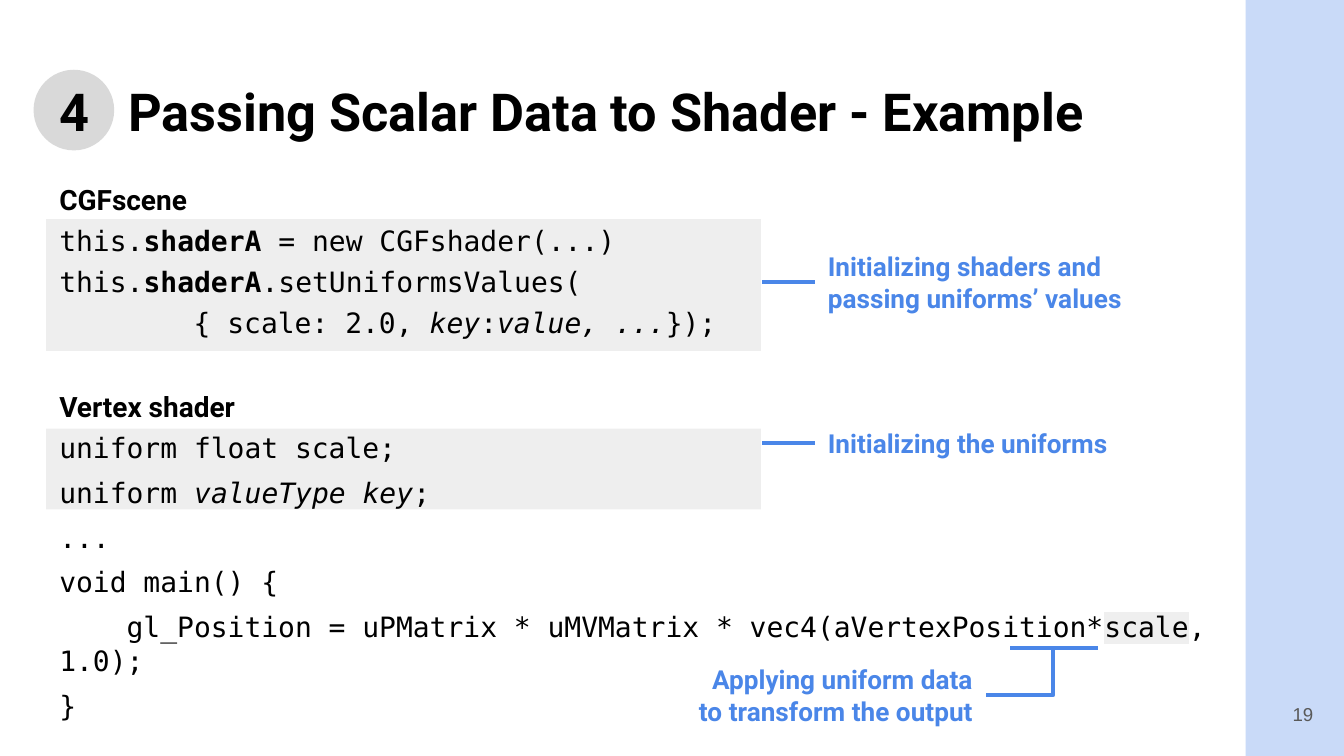
from collections import namedtuple
from dataclasses import dataclass

from lxml import etree
from pptx import Presentation
from pptx import util as u
from pptx.dml.color import RGBColor
from pptx.enum import shapes, text
from pptx.oxml import ns

Pt = u.Pt
Box = namedtuple("Box", "left top width height")
Span = namedtuple("Span", "words style", defaults=({},))


@dataclass(frozen=True)
class Theme:
    """Colours, fonts and type sizes of the deck."""
    ink: str = "000000"
    accent: str = "4A86E8"
    stripe: str = "C9DAF8"
    badge: str = "D9D9D9"
    panel: str = "EEEEEE"
    mark: str = "EFEFEF"
    muted: str = "595959"
    sans: str = "Roboto"
    mono: str = "DejaVu Sans Mono"
    number_font: str = "Arial"
    title: float = 28
    body: float = 15
    note: float = 14
    small: float = 10
    stroke: float = 2.25


THEME = Theme()
HEAD = dict(font=THEME.sans, bold=True)
BOLD = dict(bold=True)
ITALIC = dict(italic=True)

CODE = [
    (0, [Span("CGFscene", HEAD)]),
    (4, [Span("this."), Span("shaderA", BOLD), Span(" = new CGFshader(...)")]),
    (4, [Span("this."), Span("shaderA", BOLD), Span(".setUniformsValues(")]),
    (4, [Span("\t{ scale: 2.0, "), Span("key", ITALIC), Span(":"),
         Span("value, ...", ITALIC), Span("});")]),
    (26.8, [Span("Vertex shader", HEAD)]),
    (4, [Span("uniform float scale;")]),
    (6, [Span("uniform "), Span("valueType key", ITALIC), Span(";")]),
    (6, [Span("...")]),
    (6, [Span("void main() {")]),
    (6, [Span("    gl_Position = uPMatrix * uMVMatrix * vec4(aVertexPosition*"),
         Span("scale", dict(highlight=THEME.mark)), Span(", 1.0);")]),
    (6, [Span("}")]),
]


def add_span(para, words, size=THEME.body, font=THEME.mono, color=THEME.ink,
             bold=False, italic=False, highlight=None):
    """Append formatted text to a paragraph."""
    span = para.add_run()
    span.text = words
    span.font.size = Pt(size)
    span.font.bold = bold
    span.font.italic = italic
    span.font.color.rgb = RGBColor.from_string(color)
    span.font.name = font
    if highlight:
        fill = span.font._element.find(ns.qn("a:solidFill"))
        mark = etree.Element(ns.qn("a:highlight"))
        etree.SubElement(mark, ns.qn("a:srgbClr"), val=highlight)
        fill.addnext(mark)


def add_frame(page, box, anchor=text.MSO_ANCHOR.TOP):
    """Add an empty wrapping text box and return its frame."""
    frame = page.shapes.add_textbox(*map(Pt, box)).text_frame
    frame.word_wrap = True
    frame.vertical_anchor = anchor
    frame.margin_left = frame.margin_right = Pt(7.2)
    frame.margin_top = frame.margin_bottom = Pt(7.2)
    return frame


def set_tab(para, position):
    """Give a paragraph one left tab stop."""
    stops = etree.SubElement(para._p.get_or_add_pPr(), ns.qn("a:tabLst"))
    etree.SubElement(stops, ns.qn("a:tab"), pos=str(Pt(position)), algn="l")


def add_block(page, box, color, kind=shapes.MSO_SHAPE.RECTANGLE):
    """Add a plain filled shape."""
    block = page.shapes.add_shape(kind, *map(Pt, box))
    block.shadow.inherit = False
    block.fill.solid()
    block.fill.fore_color.rgb = RGBColor.from_string(color)
    block.line.fill.background()


def style_line(line):
    """Apply the accent stroke."""
    line.color.rgb = RGBColor.from_string(THEME.accent)
    line.width = Pt(THEME.stroke)


def add_rule(page, left, right, height):
    """Draw a horizontal accent line."""
    rule = page.shapes.add_connector(
        shapes.MSO_CONNECTOR.STRAIGHT, Pt(left), Pt(height), Pt(right), Pt(height))
    style_line(rule.line)
    etree.SubElement(rule._element.spPr, ns.qn("a:effectLst"))


def add_note(page, box, words, align=text.PP_ALIGN.LEFT, **style):
    """Write a vertically centred note."""
    para = add_frame(page, box, text.MSO_ANCHOR.MIDDLE).paragraphs[0]
    para.alignment = align
    add_span(para, words, **style)


def add_sidebar(page, box, number):
    """Draw the side stripe with the page number at its foot."""
    add_block(page, box, THEME.stripe)
    spot = Box(box.left, box.top + box.height - 37.8, 43.2, 31)
    add_note(page, spot, number, text.PP_ALIGN.RIGHT, size=THEME.small,
             font=THEME.number_font, color=THEME.muted)


def add_heading(page, box, number, words):
    """Write the title with its section number on a round badge."""
    badge = Box(box.left - 6.7, box.top + 2.1, 43.2, 43.2)
    add_block(page, badge, THEME.badge, shapes.MSO_SHAPE.OVAL)
    para = add_frame(page, box).paragraphs[0]
    set_tab(para, 36.9)
    add_span(para, f"{number}\t{words}", size=THEME.title, **HEAD)


def add_code(page, box):
    """Write the code listing over its two shaded panels."""
    for offset, height in ((26.7, 70.6), (139, 43.2)):
        add_block(page, Box(box.left, box.top + offset, 383, height), THEME.panel)
    frame = add_frame(page, box)
    for index, (gap, spans) in enumerate(CODE):
        para = frame.add_paragraph() if index else frame.paragraphs[0]
        set_tab(para, 72)
        para.line_spacing = 1.0
        para.space_before = Pt(gap)
        for span in spans:
            add_span(para, span.words, **span.style)


def add_callout(page, box, words):
    """Write a note led by a line from the code panel."""
    add_rule(page, box.left - 28, box.left, box.top + box.height / 2)
    add_note(page, box, words, size=THEME.note, color=THEME.accent, **HEAD)


def add_elbow_callout(page, box, words):
    """Write a note joined by an elbow to an underlined term."""
    add_note(page, box, words, text.PP_ALIGN.RIGHT, size=THEME.note,
             color=THEME.accent, **HEAD)
    right, middle = box.left + box.width, box.top + box.height / 2
    corner, top = right + 36, middle - 25.2
    add_rule(page, right + 13, right + 59.7, top)
    builder = page.shapes.build_freeform(Pt(corner), Pt(top))
    builder.add_line_segments(
        [(Pt(corner), Pt(middle)), (Pt(right), Pt(middle))], close=False)
    elbow = builder.convert_to_shape()
    elbow.shadow.inherit = False
    elbow.fill.background()
    style_line(elbow.line)


def main():
    """Build and save the deck."""
    deck = Presentation()
    deck.slide_width, deck.slide_height = Pt(720), Pt(405)
    page = deck.slides.add_slide(deck.slide_layouts[6])
    add_sidebar(page, Box(667.4, 0, 52.6, 405), "19")
    add_heading(page, Box(24.7, 35.3, 671, 45.4), "4",
                "Passing Scalar Data to Shader - Example")
    add_code(page, Box(24.7, 90.7, 642.2, 276.5))
    add_callout(page, Box(436.4, 133.5, 187, 35.3),
                "Initializing shaders and passing uniforms’ values")
    add_callout(page, Box(436.4, 224.2, 233, 26.6), "Initializing the uniforms")
    add_elbow_callout(page, Box(359.8, 359, 168.5, 26.6),
                      "Applying uniform data to transform the output")
    deck.save("out.pptx")


if __name__ == "__main__":
    main()
